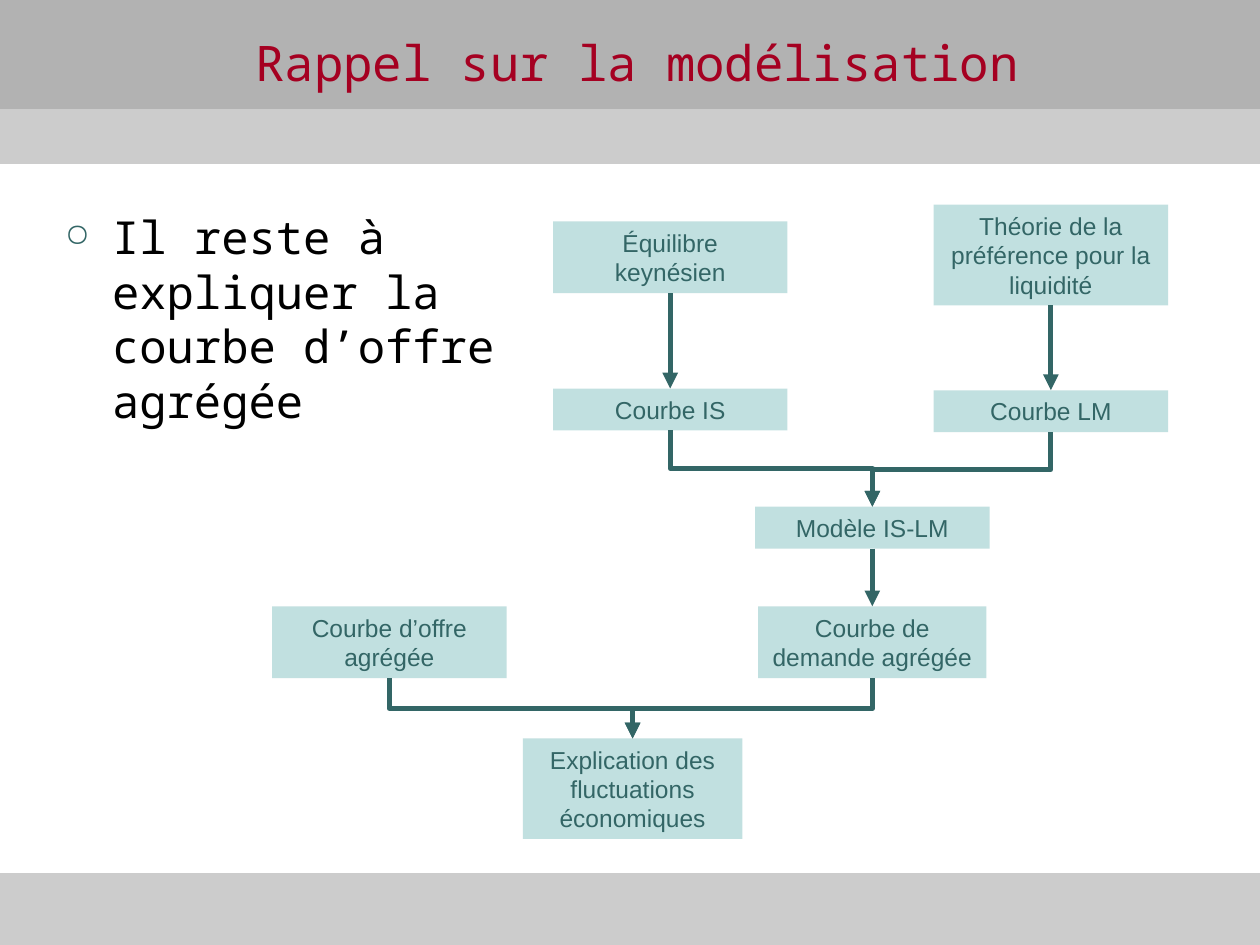
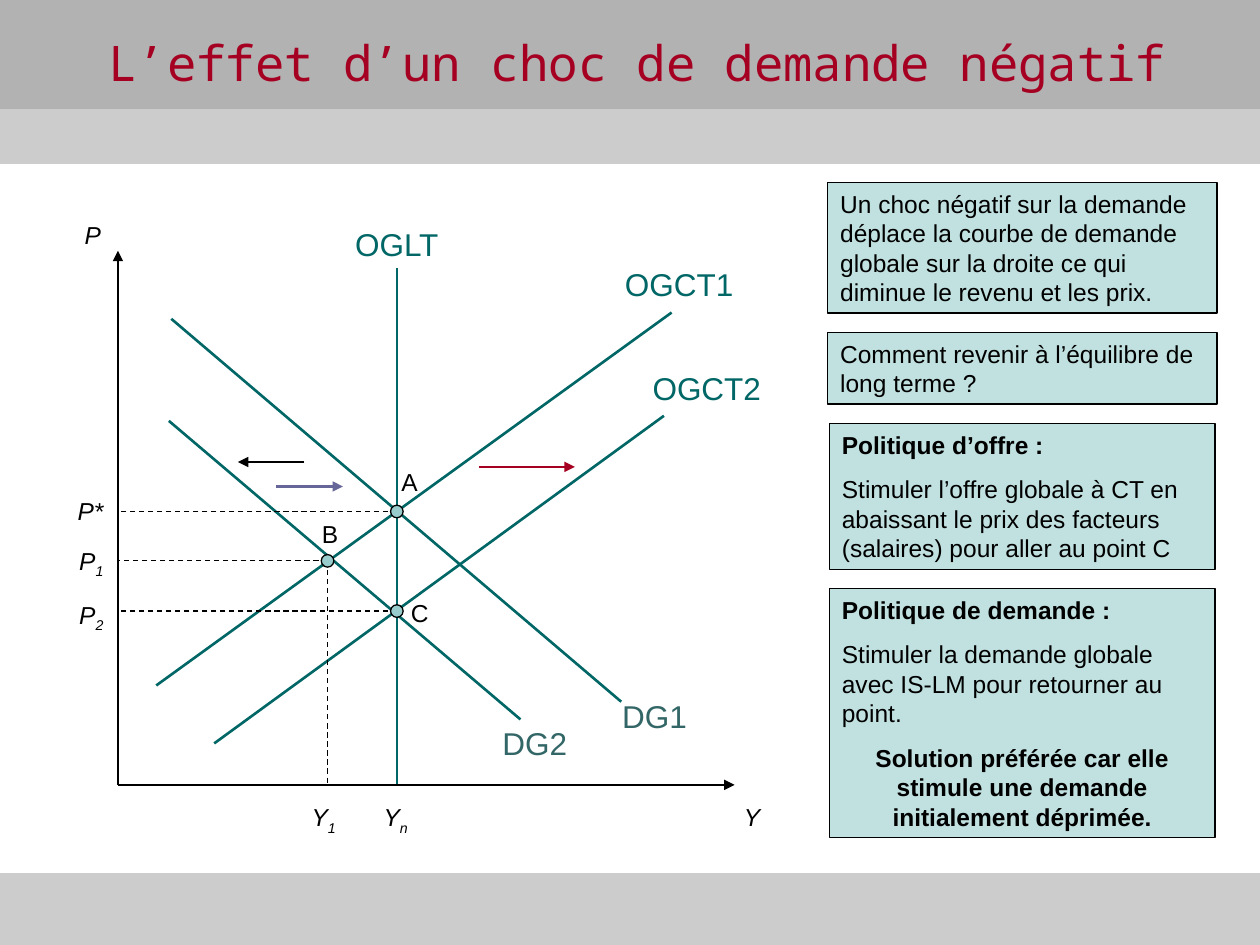
"""Builds two macroeconomics slides: a model flow chart and a demand-shock diagram."""
from lxml import etree
from pptx import Presentation
from pptx.dml.color import RGBColor
from pptx.enum import dml, shapes, text
from pptx.oxml import ns
from pptx.util import Pt

RED = RGBColor(0xA5, 0x00, 0x21)
TEAL = RGBColor(0x33, 0x66, 0x66)
DEEP_TEAL = RGBColor(0x00, 0x66, 0x66)
PALE_TEAL = RGBColor(0x99, 0xCC, 0xCC)
VIOLET = RGBColor(0x66, 0x66, 0x99)
BLACK = RGBColor(0x00, 0x00, 0x00)
GREY = RGBColor(0xB2, 0xB2, 0xB2)
LIGHT_GREY = RGBColor(0xCC, 0xCC, 0xCC)
MONO = "Noto Sans Mono"
LEFT, CENTER, RIGHT = text.PP_ALIGN.LEFT, text.PP_ALIGN.CENTER, text.PP_ALIGN.RIGHT
RECT = shapes.MSO_SHAPE.RECTANGLE
STRAIGHT, ELBOW = shapes.MSO_CONNECTOR.STRAIGHT, shapes.MSO_CONNECTOR.ELBOW


def write(sp, paras, size, color, align=LEFT, font="Arial", before=8.8):
    """Write paragraphs into a shape; an underscore starts a subscript."""
    tf = sp.text_frame
    tf.word_wrap = True
    tf.vertical_anchor = text.MSO_ANCHOR.TOP
    for i, para in enumerate(paras):
        p = tf.paragraphs[0] if i == 0 else tf.add_paragraph()
        p.alignment = align
        p.space_before = Pt(before)
        p.font.size, p.font.name = Pt(size), font
        p.font.color.rgb = color
        for j, part in enumerate(para.split("_")):
            r = p.add_run()
            r.text = part
            if j:
                r._r.get_or_add_rPr().set("baseline", "-25000")
    return tf


def style_line(c, color, width, arrow=False, dashed=False):
    """Set a connector's stroke, arrowhead and empty effect list."""
    c.line.color.rgb = color
    c.line.width = Pt(width)
    if dashed:
        c.line.dash_style = dml.MSO_LINE.DASH
    if arrow:
        etree.SubElement(c.line._get_or_add_ln(), ns.qn("a:tailEnd"), type="triangle")
    etree.SubElement(c._element.spPr, ns.qn("a:effectLst"))


prs = Presentation()
prs.slide_width, prs.slide_height = Pt(720), Pt(540)

slides = []
for title in ("Rappel sur la modélisation", "L’effet d’un choc de demande négatif"):
    s = prs.slides.add_slide(prs.slide_layouts[6])
    for top, height, color in ((43.2, 50, LIGHT_GREY), (0, 62, GREY), (499.5, 40.5, LIGHT_GREY)):
        sp = s.shapes.add_shape(RECT, 0, Pt(top), Pt(720), Pt(height))
        sp.shadow.inherit = False
        sp.fill.solid()
        sp.fill.fore_color.rgb = color
        sp.line.color.rgb = color
        sp.line.width = Pt(0.75)
    sp = s.shapes.add_textbox(Pt(24), Pt(15), Pt(680), Pt(41))
    tf = write(sp, [title], 28, RED, CENTER, MONO, 0)
    tf.vertical_anchor = text.MSO_ANCHOR.MIDDLE
    slides.append(s)
flow, diagram = slides

sp = flow.shapes.add_textbox(Pt(30), Pt(116), Pt(283), Pt(142.5))
tf = write(sp, ["Il reste à expliquer la courbe d’offre agrégée"], 26, BLACK, LEFT, MONO, 6.5)
pPr = tf.paragraphs[0]._p.get_or_add_pPr()
pPr.set("marL", str(Pt(27)))
pPr.set("indent", str(-Pt(27)))
bullet_color = etree.Element(ns.qn("a:buClr"))
etree.SubElement(bullet_color, ns.qn("a:srgbClr"), val=str(TEAL))
for node in (bullet_color,
             etree.Element(ns.qn("a:buSzPct"), val="70000"),
             etree.Element(ns.qn("a:buChar"), char="○")):
    pPr[-1].addprevious(node)

BOXES = {
    "keynes": ("Équilibre keynésien", 383, 126.5, 134, 41),
    "liquidity": ("Théorie de la préférence pour la liquidité", 600.5, 117, 134, 57.5),
    "is": ("Courbe IS", 383, 222, 134, 24),
    "lm": ("Courbe LM", 600.5, 223, 134, 24),
    "islm": ("Modèle IS-LM", 498.5, 289.5, 134, 24),
    "supply": ("Courbe d’offre agrégée", 222.5, 346.5, 134, 41),
    "demand": ("Courbe de demande agrégée", 498.5, 346.5, 130.5, 41),
    "cycles": ("Explication des fluctuations économiques", 361.5, 422, 125.5, 57.5),
}
boxes = {}
for key, (label, center, top, width, height) in BOXES.items():
    boxes[key] = flow.shapes.add_shape(RECT, Pt(center - width / 2), Pt(top), Pt(width), Pt(height))
    boxes[key].line.fill.background()
    write(boxes[key], [label], 14, TEAL, CENTER)

for start, end in (("keynes", "is"), ("liquidity", "lm"), ("is", "islm"), ("lm", "islm"),
                   ("islm", "demand"), ("supply", "cycles"), ("demand", "cycles")):
    dx = BOXES[end][1] - BOXES[start][1]
    c = flow.shapes.add_connector(ELBOW if dx else STRAIGHT, 0, 0, 0, 0)
    c.begin_connect(boxes[start], 2)
    c.end_connect(boxes[end], 0)
    if dx:
        mid_x, mid_y = (c.begin_x + c.end_x) // 2, (c.begin_y + c.end_y) // 2
        run, drop = abs(c.end_x - c.begin_x), c.end_y - c.begin_y
        c.left, c.top, c.width, c.height = mid_x - drop // 2, mid_y - run // 2, drop, run
        xfrm = c._element.spPr.find(ns.qn("a:xfrm"))
        xfrm.set("rot", "16200000" if dx > 0 else "5400000")
        xfrm.set("flipH", "1" if dx > 0 else "0")
        xfrm.set("flipV", "0")
    style_line(c, TEAL, 3, arrow=True)

AXIS_X, AXIS_Y, NATURAL_Y = 67.4, 448.5, 226.8
POINTS = {"A": (NATURAL_Y, 292.3), "B": (187.2, 320.5), "C": (NATURAL_Y, 349.2)}

for x1, y1, x2, y2 in ((89.3, 391.7, 383.8, 178.6), (122.4, 424.8, 379.4, 237.6),
                       (97.9, 182.2, 355, 401), (96.5, 240.5, 297.4, 411.1),
                       (NATURAL_Y, AXIS_Y, NATURAL_Y, 153.4)):
    c = diagram.shapes.add_connector(STRAIGHT, Pt(x1), Pt(y1), Pt(x2), Pt(y2))
    style_line(c, DEEP_TEAL, 1.5)

for x1, y1, x2, y2, color, width in (
        (AXIS_X, AXIS_Y, AXIS_X, 143.3, BLACK, 0.75), (AXIS_X, AXIS_Y, 419.8, AXIS_Y, BLACK, 0.75),
        (174, 264, 136, 264, BLACK, 1.5), (158, 278, 196, 278, VIOLET, 1.5),
        (273.5, 266.8, 328.5, 266.8, RED, 1.5)):
    c = diagram.shapes.add_connector(STRAIGHT, Pt(x1), Pt(y1), Pt(x2), Pt(y2))
    style_line(c, color, width, arrow=True)

guides = [(x, y, AXIS_X, y) for x, y in POINTS.values()]
guides.append((*POINTS["B"], POINTS["B"][0], AXIS_Y))
for x1, y1, x2, y2 in guides:
    c = diagram.shapes.add_connector(STRAIGHT, Pt(x1), Pt(y1), Pt(x2), Pt(y2))
    style_line(c, BLACK, 0.75, dashed=True)

for x, y in POINTS.values():
    sp = diagram.shapes.add_shape(shapes.MSO_SHAPE.OVAL, Pt(x - 3.6), Pt(y - 3.6), Pt(7.2), Pt(7.2))
    sp.shadow.inherit = False
    sp.fill.solid()
    sp.fill.fore_color.rgb = PALE_TEAL
    sp.line.color.rgb = BLACK
    sp.line.width = Pt(0.75)

for label, center, top, color in (
        ("OGLT", 226.8, 125.3, DEEP_TEAL), ("OGCT1", 388.1, 147.6, DEEP_TEAL),
        ("OGCT2", 403.9, 207.4, DEEP_TEAL), ("DG1", 374, 394.6, TEAL), ("DG2", 305.6, 410.4, TEAL)):
    sp = diagram.shapes.add_textbox(Pt(center - 40), Pt(top), Pt(80), Pt(29))
    write(sp, [label], 18, color, CENTER, before=11.2)

for label, left, top, align, italic in (
        ("P", 4.8, 122.4, RIGHT, True), ("P*", 6.2, 280, RIGHT, True),
        ("P_1", 6.2, 308.2, RIGHT, True), ("P_2", 6.2, 339.1, RIGHT, True),
        ("Y_1", 155, 455, CENTER, True), ("Y_n", 196.1, 455, CENTER, True),
        ("Y", 399.8, 455, CENTER, True), ("A", 204, 263.5, CENTER, False),
        ("B", 158.6, 293, CENTER, False), ("C", 209.8, 338.4, CENTER, False)):
    sp = diagram.shapes.add_textbox(Pt(left), Pt(top), Pt(60), Pt(25))
    tf = write(sp, [label], 14, BLACK, align)
    tf.paragraphs[0].font.italic = italic

notes = []
for left, top, width, height, paras in (
        (473, 104.4, 222.5, 74.5, ["Un choc négatif sur la demande déplace la courbe de demande globale "
                                   "sur la droite ce qui diminue le revenu et les prix."]),
        (473, 190, 222.5, 41, ["Comment revenir à l’équilibre de long terme ?"]),
        (474, 242, 220.3, 83.5, ["Politique d’offre :",
                                 "Stimuler l’offre globale à CT en abaissant le prix des facteurs "
                                 "(salaires) pour aller au point C"]),
        (474, 336.2, 220.3, 142.5, ["Politique de demande :",
                                    "Stimuler la demande globale avec IS-LM pour retourner au point.",
                                    "Solution préférée car elle stimule une demande initialement "
                                    "déprimée."])):
    sp = diagram.shapes.add_shape(RECT, Pt(left), Pt(top), Pt(width), Pt(height))
    sp.line.color.rgb = BLACK
    sp.line.width = Pt(0.75)
    tf = write(sp, paras, 14, BLACK)
    if len(paras) > 1:
        tf.paragraphs[0].font.bold = True
    if len(paras) > 2:
        tf.paragraphs[2].font.bold = True
        tf.paragraphs[2].alignment = CENTER
    notes.append(sp)

for sp in [*boxes.values(), *notes]:
    sp.shadow.inherit = False
    sp.fill.solid()
    sp.fill.fore_color.rgb = PALE_TEAL
    tint = sp._element.spPr.find(ns.qn("a:solidFill")).find(ns.qn("a:srgbClr"))
    etree.SubElement(tint, ns.qn("a:alpha"), val="60000")

prs.save("out.pptx")
